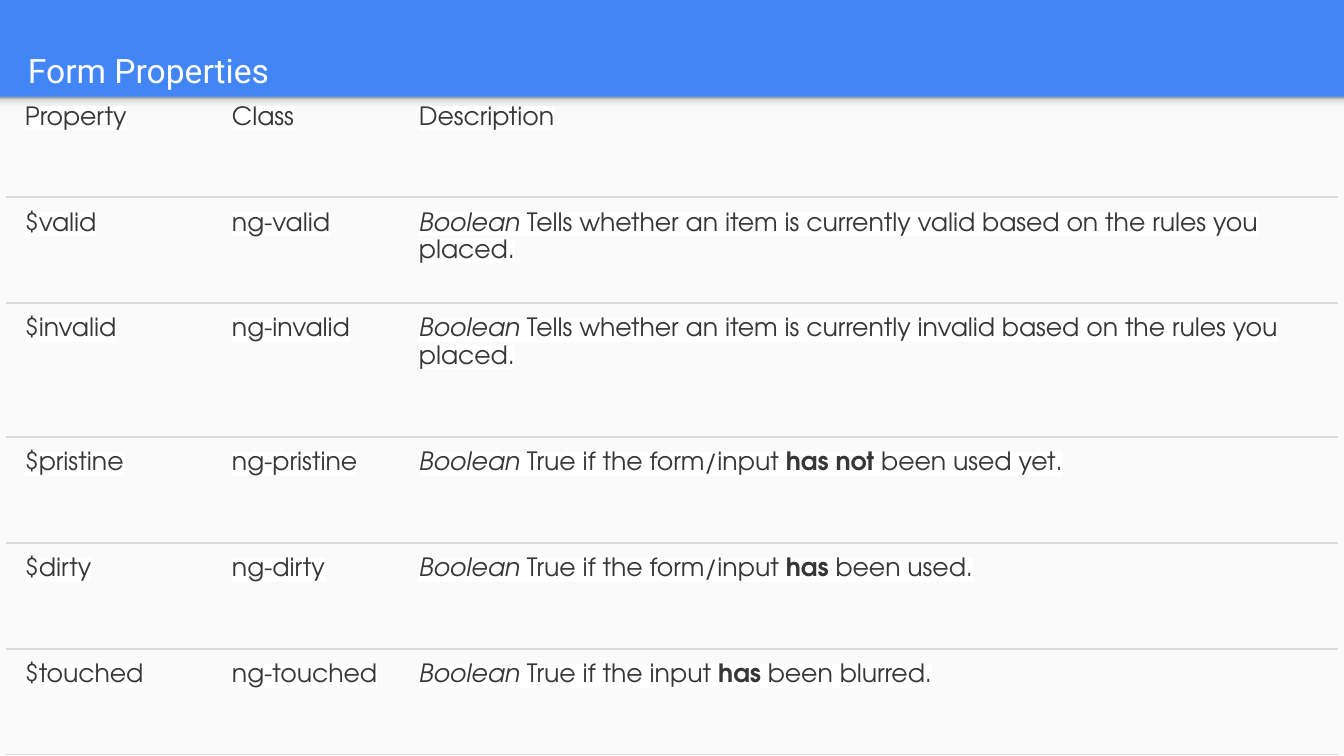
from typing import NamedTuple

from lxml import etree
from pptx import Presentation
from pptx import util as u
from pptx.dml.color import RGBColor
from pptx.enum import shapes, text
from pptx.oxml.ns import qn

SCALE = 914400 / 134.4
BLUE, PAPER, WHITE, INK, RULE = "4285F4", "FAFAFA", "FFFFFF", "363636", "DBDBDB"
SHADE = [(0, "F9F9F9"), (36, "F9F9F9"), (80, "DEDEDE"), (100, "999999")]
COLS = [207, 187, 938]
HIGHS = [106, 106, 134, 106, 106, 106]
THICK = 2  # rules under the first rows are heavier


class Part(NamedTuple):
    words: str
    bold: bool = False
    slant: bool = False


class Row(NamedTuple):
    name: str
    kind: str
    notes: list[Part]


BOOL = Part("Boolean", slant=True)
ROWS = [
    Row("Property", "Class", [Part("Description")]),
    Row("$valid", "ng-valid", [BOOL, Part(
        " Tells whether an item is currently valid based on the rules you placed.")]),
    Row("$invalid", "ng-invalid", [BOOL, Part(
        " Tells whether an item is currently invalid based on the rules you placed.")]),
    Row("$pristine", "ng-pristine", [BOOL, Part(" True if the form/input "),
                                     Part("has not", bold=True), Part(" been used yet.")]),
    Row("$dirty", "ng-dirty", [BOOL, Part(" True if the form/input "),
                               Part("has", bold=True), Part(" been used.")]),
    Row("$touched", "ng-touched", [BOOL, Part(" True if the input "),
                                   Part("has", bold=True), Part(" been blurred.")]),
]


def px(n: int) -> int:
    return round(n * SCALE)


def hue(code: str) -> RGBColor:
    return RGBColor.from_string(code)


def tint(host, tag: str, code: str):
    """Add a child that holds one plain colour."""
    node = etree.SubElement(host, qn(tag))
    etree.SubElement(node, qn("a:srgbClr"), val=code)
    return node


def add_rect(slide, x: int, y: int, w: int, h: int):
    rect = slide.shapes.add_shape(shapes.MSO_SHAPE.RECTANGLE, px(x), px(y), px(w), px(h))
    rect.shadow.inherit = False
    rect.line.fill.background()
    return rect


def add_run(para, part: Part, face: str, size: float, code: str):
    run = para.add_run()
    run.text = part.words
    font = run.font
    font.name, font.size = face, u.Pt(size)
    font.bold, font.italic = part.bold, part.slant
    font.color.rgb = hue(code)
    return run


def mark(run) -> None:
    """Put a white highlight behind a run."""
    props = run.font._element if hasattr(run.font, "_element") else run._r.get_or_add_rPr()
    props.find(qn("a:solidFill")).addnext(tint(props, "a:highlight", WHITE))


def edge(cell, top: float, base: float) -> None:
    """Rule a cell above and below; a width of 0 hides the line."""
    props = cell._tc.get_or_add_tcPr()
    for i, (side, width) in enumerate(zip("LRTB", (0, 0, top, base))):
        line = etree.Element(qn(f"a:ln{side}"), w=str(u.Pt(width)))
        if width:
            tint(line, "a:solidFill", RULE)
        else:
            etree.SubElement(line, qn("a:noFill"))
        props.insert(i, line)


def fill_cell(cell, parts: list[Part]) -> None:
    cell.fill.background()
    cell.margin_left = cell.margin_right = px(19)
    cell.margin_top = cell.margin_bottom = px(12)
    para = cell.text_frame.paragraphs[0]
    para.line_spacing, para.space_after = 1.15, u.Pt(26)
    for part in parts:
        mark(add_run(para, part, "TeX Gyre Adventor", 13.5, INK))


def add_title(slide) -> None:
    title = slide.shapes.title
    title.left, title.top, title.width, title.height = px(15), px(3), px(1297), px(89)
    frame = title.text_frame
    frame.auto_size = text.MSO_AUTO_SIZE.NONE
    frame.vertical_anchor = text.MSO_ANCHOR.BOTTOM
    frame.margin_left = frame.margin_right = px(13)
    frame.margin_bottom = px(2)
    para = frame.paragraphs[0]
    para.alignment = text.PP_ALIGN.LEFT
    add_run(para, Part("Form Properties"), "Roboto", 18, WHITE)


def add_shade(slide) -> None:
    """Draw the shadow that the header casts on the page."""
    band = add_rect(slide, 0, 97, 1344, 16)
    band.fill.gradient()
    band.fill.gradient_angle = 90
    stops = band._element.spPr.find(qn("a:gradFill")).find(qn("a:gsLst"))
    for old in list(stops):
        stops.remove(old)
    for spot, code in SHADE:
        tint(stops, "a:gs", code).set("pos", str(spot * 1000))


def add_grid(slide) -> None:
    frame = slide.shapes.add_table(len(ROWS), len(COLS), px(6), px(91),
                                   px(sum(COLS)), px(sum(HIGHS)))
    grid = frame.table
    grid.first_row = grid.horz_banding = False
    for col, wide in zip(grid.columns, COLS):
        col.width = px(wide)
    rules = [0] + [1.5 if i < THICK else 0.75 for i in range(len(ROWS))]
    for i, (row, high) in enumerate(zip(ROWS, HIGHS)):
        grid.rows[i].height = px(high)
        for j, parts in enumerate(([Part(row.name)], [Part(row.kind)], row.notes)):
            cell = grid.cell(i, j)
            fill_cell(cell, parts)
            edge(cell, rules[i], rules[i + 1])


def main() -> None:
    deck = Presentation()
    deck.slide_width, deck.slide_height = px(1344), px(756)
    slide = deck.slides.add_slide(deck.slide_layouts[5])
    back = slide.background.fill
    back.solid()
    back.fore_color.rgb = hue(BLUE)
    page = add_rect(slide, 0, 97, 1344, 659)
    page.fill.solid()
    page.fill.fore_color.rgb = hue(PAPER)
    add_shade(slide)
    add_title(slide)
    add_grid(slide)
    deck.save("out.pptx")


if __name__ == "__main__":
    main()
